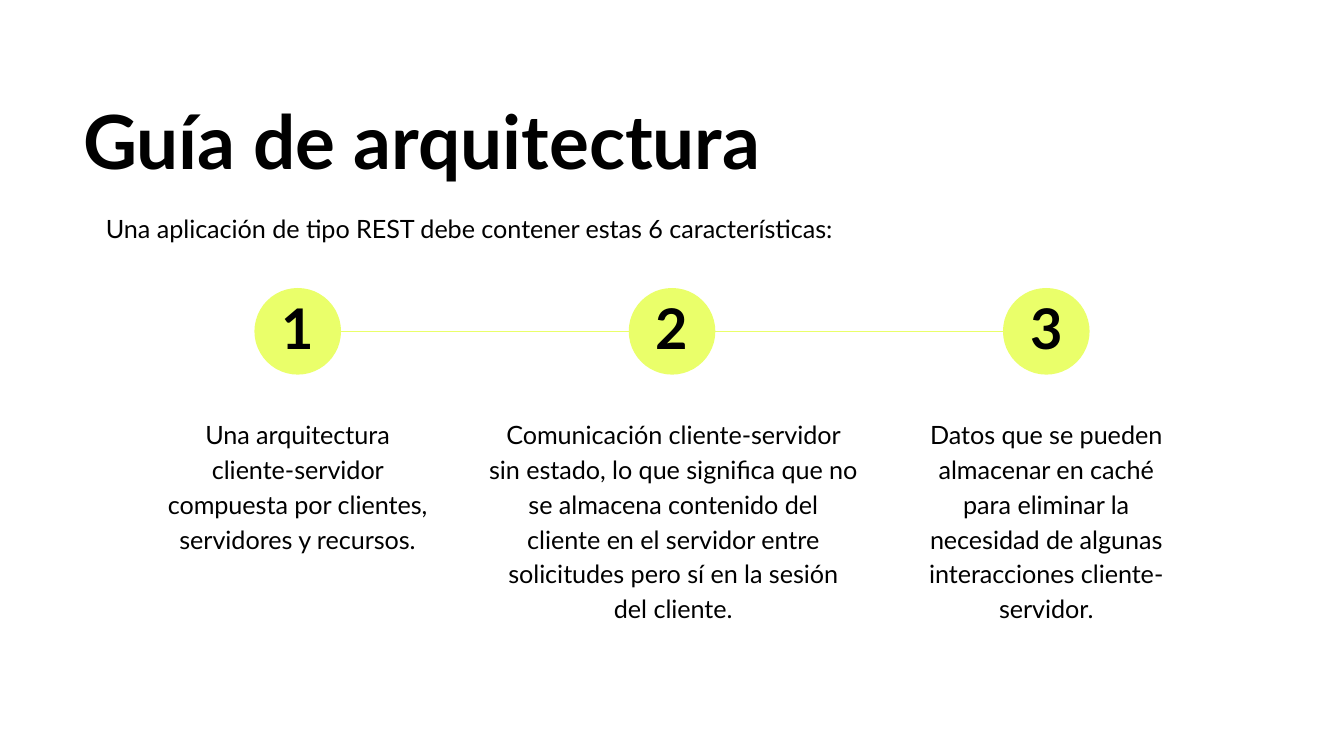
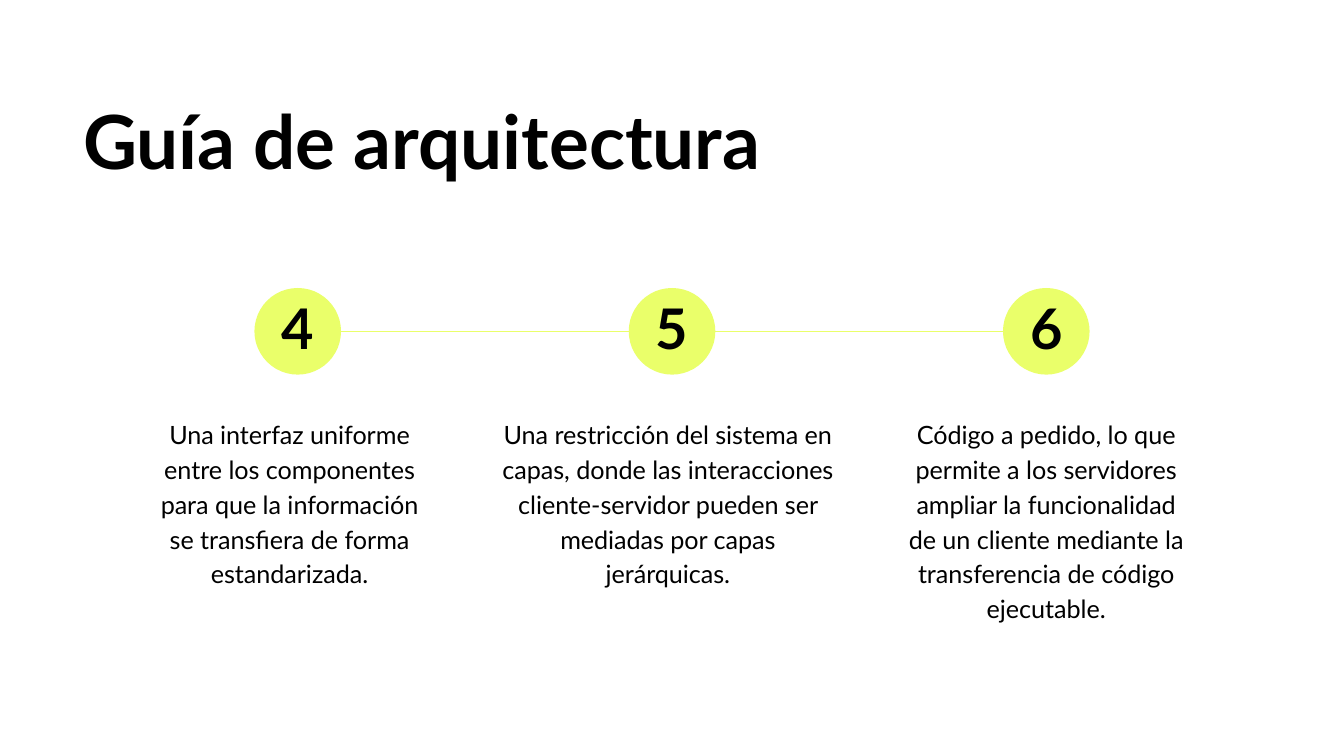
from lxml import etree
from pptx import Presentation
from pptx import util as u
from pptx.dml.color import RGBColor
from pptx.enum import shapes, text
from pptx.oxml import ns

COLORS = {"paper": "FFFFFF", "ink": "000000", "lime": "EAFF6A"}
FONT = "Lato"
TITLE = "Guía de arquitectura"
TITLE_BOX = (37.44, 48.96, 640.8, 58.32)
INTRO_BOX = (49.68, 107.28, 542.88, 30.96)
TIMELINE_BOX = (136.3, 154.3, 447.4, 46.4)
NUMBER_WIDTH, NUMBER_HEIGHT = 32.4, 47.5
CAPTION_TOP = 215.3

SLIDES = [
    {
        "intro": "Una aplicación de tipo REST debe contener estas 6 características:",
        "first": 1,
        "captions": [
            (82.8, 153.36, 105.84, "Una arquitectura cliente-servidor compuesta por "
             "clientes, servidores y recursos."),
            (254.88, 211.68, 144, "Comunicación cliente-servidor sin estado, lo que significa "
             "que no se almacena contenido del cliente en el servidor entre solicitudes pero sí "
             "en la sesión del cliente."),
            (483.84, 153.36, 144, "Datos que se pueden almacenar en caché para eliminar la "
             "necesidad de algunas interacciones cliente-servidor."),
        ],
    },
    {
        "intro": None,
        "first": 4,
        "captions": [
            (71.28, 167.76, 125.28, "Una interfaz uniforme entre los componentes para que la "
             "información se transfiera de forma estandarizada."),
            (261.36, 192.96, 125.28, "Una restricción del sistema en capas, donde las "
             "interacciones cliente-servidor pueden ser mediadas por capas jerárquicas."),
            (476.64, 167.76, 125.28, "Código a pedido, lo que permite a los servidores ampliar "
             "la funcionalidad de un cliente mediante la transferencia de código ejecutable."),
        ],
    },
]


def color(name):
    return RGBColor.from_string(COLORS[name])


def add_text(page, box, words, size=13.5, bold=False, align=text.PP_ALIGN.LEFT, spacing=1.0):
    frame = page.shapes.add_textbox(*map(u.Pt, box)).text_frame
    frame.word_wrap = True
    frame.auto_size = text.MSO_AUTO_SIZE.SHAPE_TO_FIT_TEXT
    frame.margin_left = frame.margin_right = u.Pt(7.2)
    frame.margin_top = frame.margin_bottom = u.Pt(7.2)
    para = frame.paragraphs[0]
    para.alignment = align
    para.line_spacing = spacing
    span = para.add_run()
    span.text = words
    span.font.name = FONT
    span.font.size = u.Pt(size)
    span.font.bold = bold
    span.font.color.rgb = color("ink")


def add_link(page, start, end, middle):
    link = page.shapes.add_connector(
        shapes.MSO_CONNECTOR.STRAIGHT, u.Pt(start), u.Pt(middle), u.Pt(end), u.Pt(middle))
    link.line.color.rgb = color("lime")
    link.line.width = u.Pt(0.75)
    etree.SubElement(link._element.spPr, ns.qn("a:effectLst"))


def add_timeline(page, box, first, count):
    left, top, width, size = box
    pitch = (width - size) / (count - 1)
    for index in range(count):
        start = left + index * pitch
        circle = page.shapes.add_shape(
            shapes.MSO_SHAPE.OVAL, u.Pt(start), u.Pt(top), u.Pt(size), u.Pt(size))
        circle.shadow.inherit = False
        circle.fill.solid()
        circle.fill.fore_color.rgb = color("lime")
        circle.line.fill.background()
        if index:
            add_link(page, start - pitch + size, start, top + size / 2)
        number_box = (start + (size - NUMBER_WIDTH) / 2, top, NUMBER_WIDTH, NUMBER_HEIGHT)
        add_text(page, number_box, str(first + index), size=30, bold=True,
                 align=text.PP_ALIGN.CENTER, spacing=0.9)


def add_captions(page, top, captions):
    for left, width, height, words in captions:
        add_text(page, (left, top, width, height), words,
                 align=text.PP_ALIGN.CENTER, spacing=1.15)


def add_guide(deck, intro, first, captions):
    page = deck.slides.add_slide(deck.slide_layouts[6])
    page.background.fill.solid()
    page.background.fill.fore_color.rgb = color("paper")
    add_text(page, TITLE_BOX, TITLE, size=40, bold=True, spacing=0.9)
    if intro:
        add_text(page, INTRO_BOX, intro, align=text.PP_ALIGN.JUSTIFY)
    add_timeline(page, TIMELINE_BOX, first, len(captions))
    add_captions(page, CAPTION_TOP, captions)


def main():
    deck = Presentation()
    deck.slide_width, deck.slide_height = u.Pt(720), u.Pt(405)
    for content in SLIDES:
        add_guide(deck, **content)
    deck.save("out.pptx")


if __name__ == "__main__":
    main()
